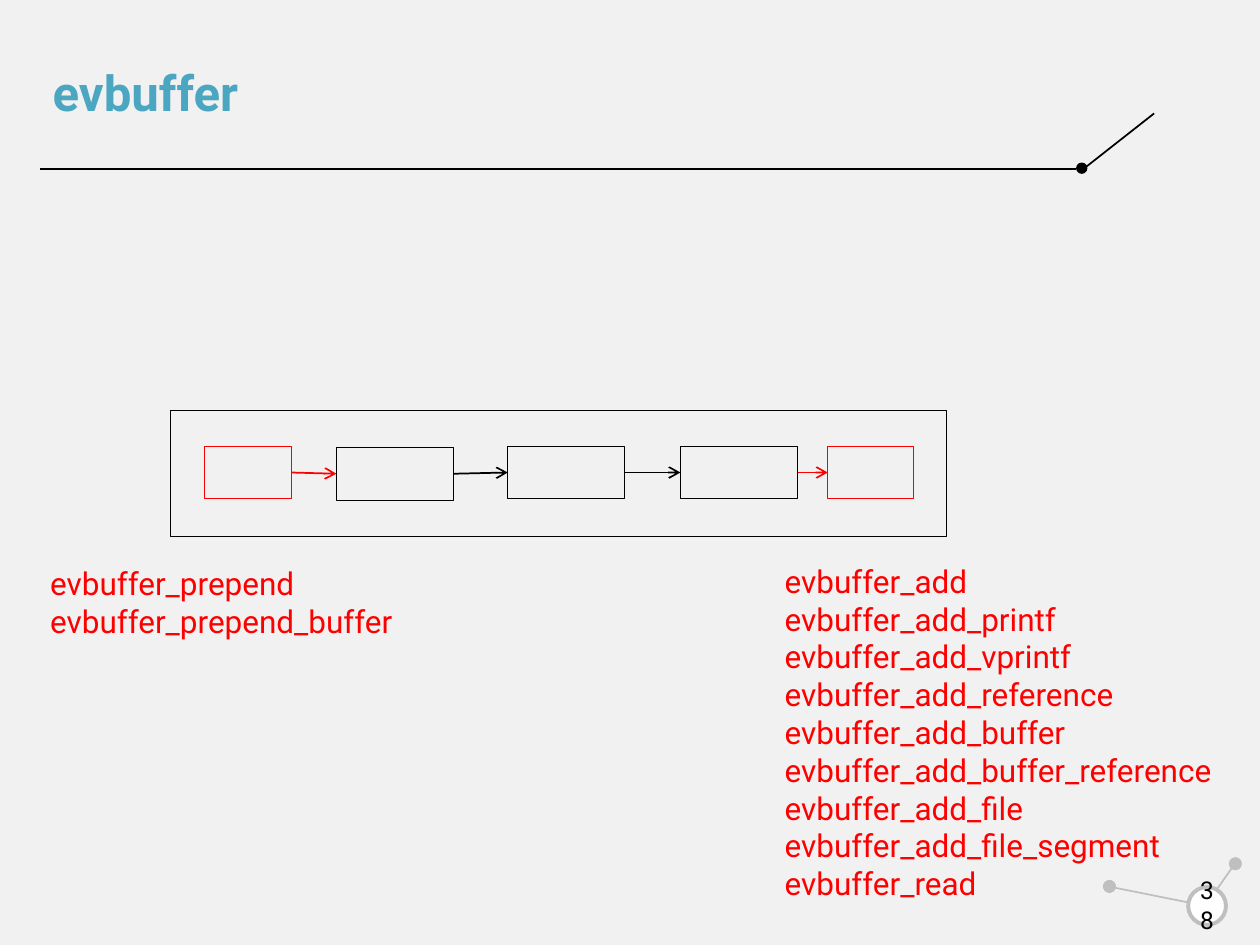
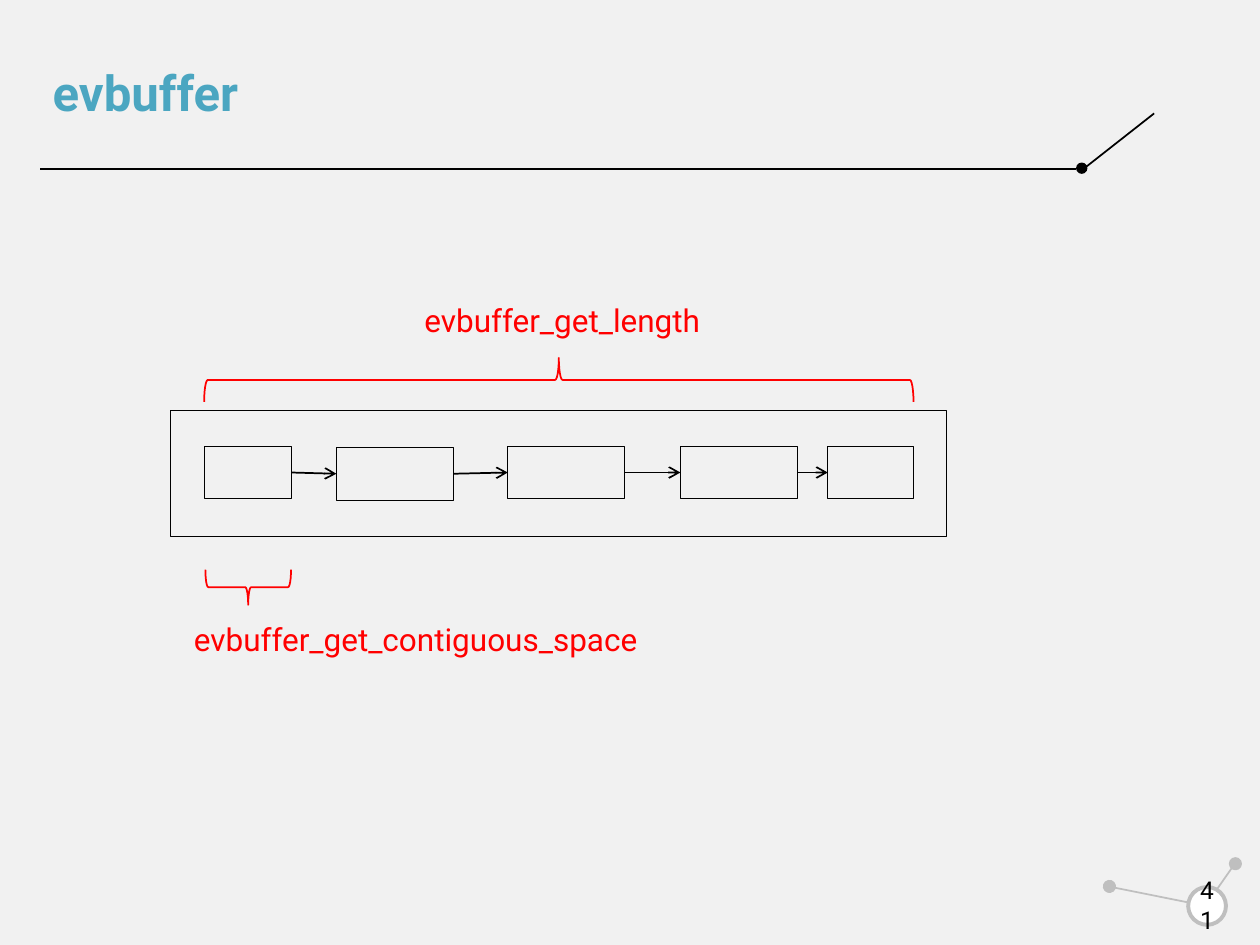
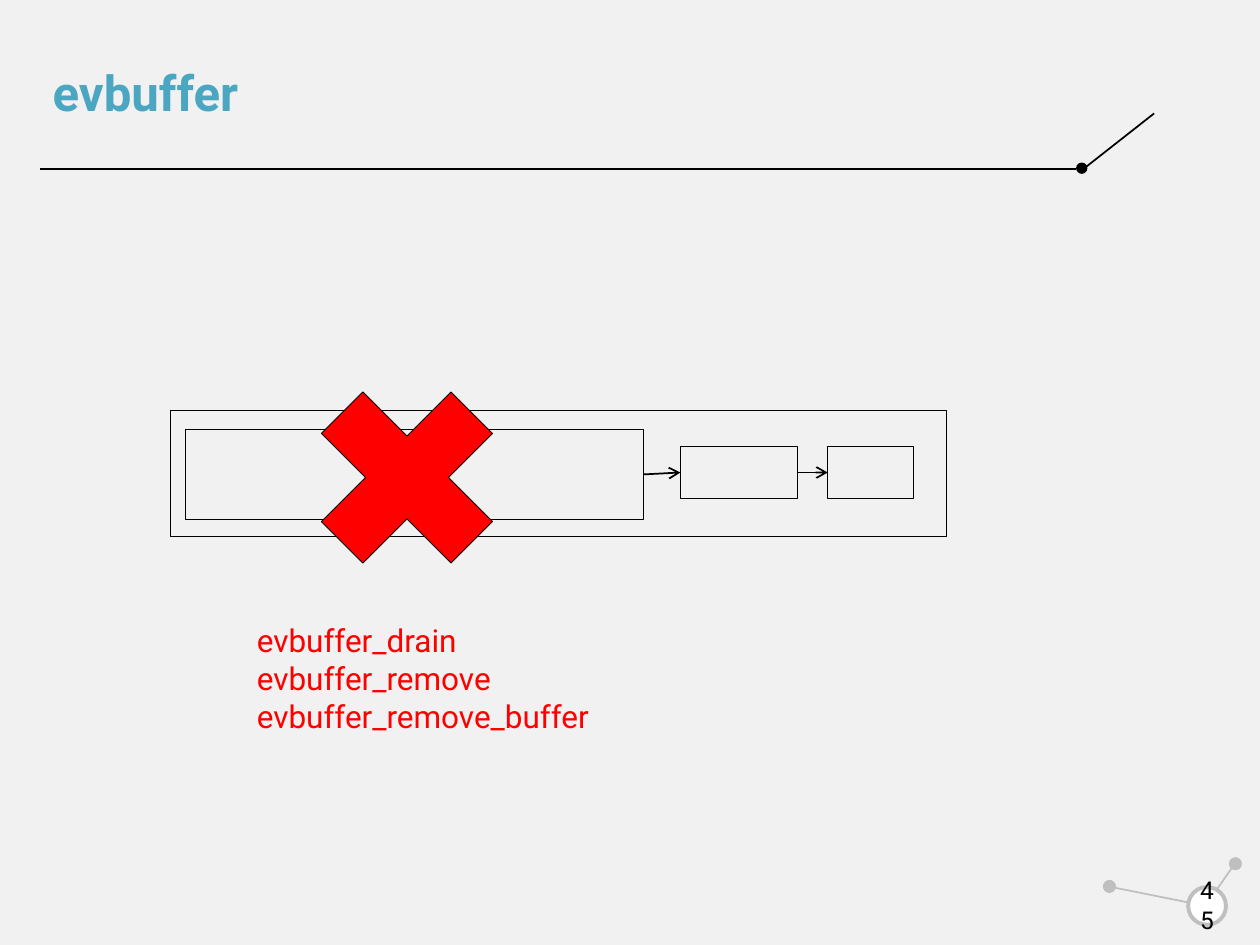
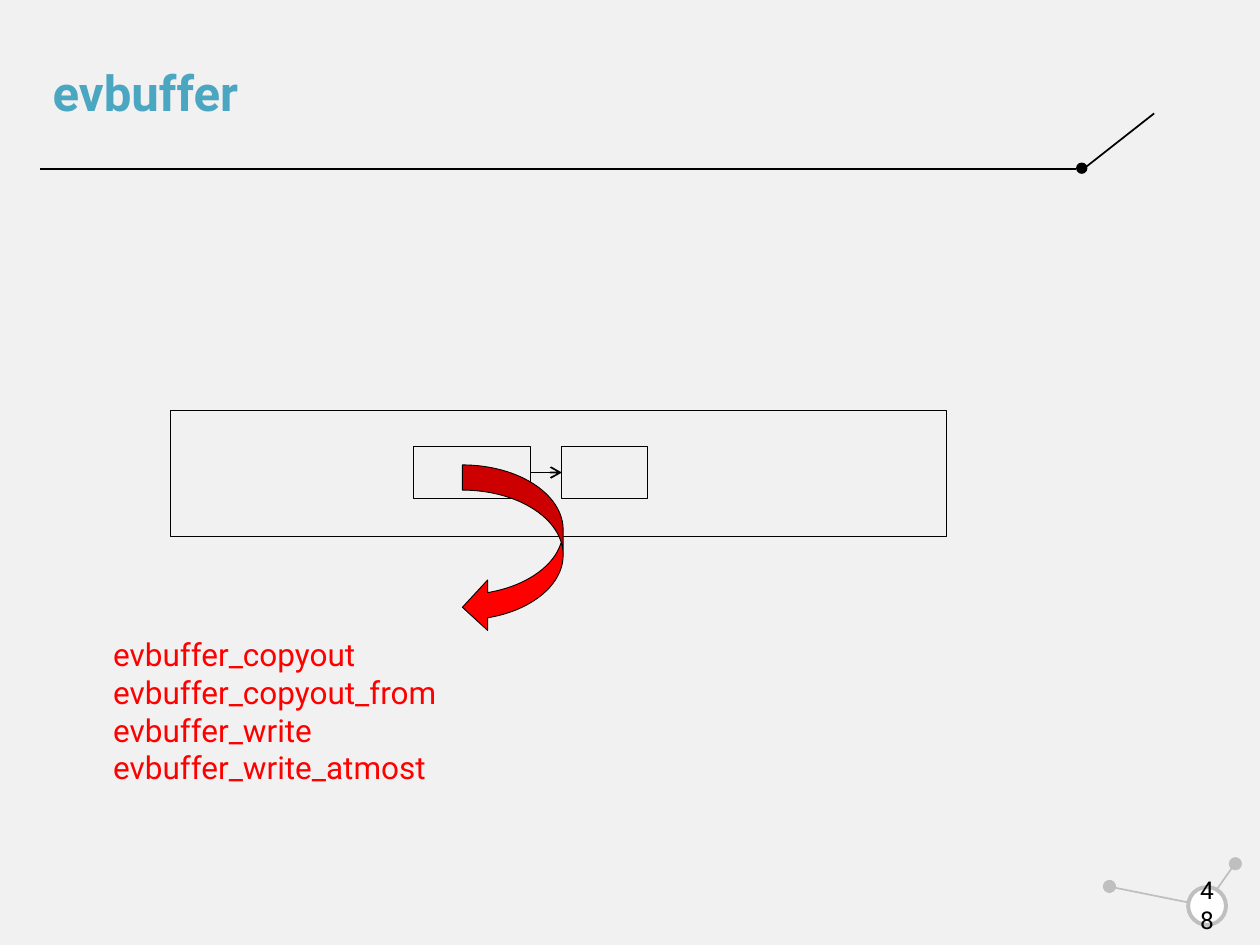
"""Build four slides about evbuffer operations."""
from dataclasses import dataclass, replace
from typing import Optional

from lxml.etree import SubElement
from pptx import Presentation
from pptx.dml.color import RGBColor
from pptx.enum.shapes import MSO_CONNECTOR, MSO_SHAPE
from pptx.enum.text import MSO_ANCHOR, MSO_AUTO_SIZE, PP_ALIGN
from pptx.oxml.ns import qn
from pptx.shapes.autoshape import Shape
from pptx.slide import Slide
from pptx.util import Inches, Pt

FONT = "Roboto"
BLACK = RGBColor(0x00, 0x00, 0x00)
WHITE = RGBColor(0xFF, 0xFF, 0xFF)
RED = RGBColor(0xFF, 0x00, 0x00)
TEAL = RGBColor(0x4B, 0xA6, 0xC1)
GRAY = RGBColor(0xBF, 0xBF, 0xBF)
PAPER = RGBColor(0xF1, 0xF1, 0xF1)


@dataclass(frozen=True)
class Box:
    left: float
    top: float
    width: float
    height: float


@dataclass(frozen=True)
class Cell:
    left: float
    width: float
    top: float = 3.54
    height: float = 0.42
    color: RGBColor = BLACK

    @property
    def right(self) -> float:
        return self.left + self.width

    @property
    def middle(self) -> float:
        return self.top + self.height / 2


HEAD = Cell(1.62, 0.69)
SECOND = Cell(2.67, 0.93, 3.55)
THIRD = Cell(4.03, 0.93, 3.54)
FOURTH = Cell(5.4, 0.93)
TAIL = Cell(6.57, 0.68)
MERGED = Cell(1.47, 3.64, 3.41, 0.71)


def draw(slide: Slide, kind: MSO_SHAPE, box: Box, fill: Optional[RGBColor] = None,
         color: Optional[RGBColor] = BLACK, weight: float = 0.5, turn: float = 0) -> Shape:
    shape = slide.shapes.add_shape(kind, Inches(box.left), Inches(box.top),
                                   Inches(box.width), Inches(box.height))
    shape.shadow.inherit = False
    shape.rotation = turn
    if fill is None:
        shape.fill.background()
    else:
        shape.fill.solid()
        shape.fill.fore_color.rgb = fill
    if color is None:
        shape.line.fill.background()
    else:
        shape.line.color.rgb = color
        shape.line.width = Pt(weight)
    return shape


def link(slide: Slide, start: tuple[float, float], end: tuple[float, float],
         color: RGBColor = BLACK, arrow: bool = False) -> None:
    line = slide.shapes.add_connector(MSO_CONNECTOR.STRAIGHT, *map(Inches, start + end))
    line.line.color.rgb = color
    line.line.width = Pt(1)
    props = line._element.spPr
    if arrow:
        SubElement(props.find(qn("a:ln")), qn("a:tailEnd"), type="arrow")
    SubElement(props, qn("a:effectLst"))


def write(slide: Slide, text: str, box: Box, size: float = 18, color: RGBColor = RED,
          bold: bool = False, wrap: bool = False) -> Shape:
    shape = slide.shapes.add_textbox(Inches(box.left), Inches(box.top),
                                     Inches(box.width), Inches(box.height))
    frame = shape.text_frame
    frame.text = text
    frame.word_wrap = wrap
    frame.auto_size = MSO_AUTO_SIZE.NONE if wrap else MSO_AUTO_SIZE.SHAPE_TO_FIT_TEXT
    for para in frame.paragraphs:
        for run in para.runs:
            run.font.name = FONT
            run.font.size = Pt(size)
            run.font.bold = bold
            run.font.color.rgb = color
    return shape


def start(deck: Presentation, page: int) -> Slide:
    slide = deck.slides.add_slide(deck.slide_layouts[6])
    draw(slide, MSO_SHAPE.RECTANGLE, Box(0, 0, 10, 7.5), PAPER, None)
    link(slide, (0.32, 1.34), (8.54, 1.34))
    draw(slide, MSO_SHAPE.OVAL, Box(8.54, 1.29, 0.09, 0.09), BLACK, None)
    link(slide, (8.6, 1.34), (9.16, 0.9))
    for left, top, turn in ((9.76, 6.81, 59.1), (8.76, 6.99, 49.1)):
        draw(slide, MSO_SHAPE.OVAL, Box(left, top, 0.09, 0.09), GRAY, GRAY, 1, turn)
    link(slide, (9.79, 6.87), (9.65, 7.07), GRAY)
    link(slide, (8.82, 7.04), (9.52, 7.18), GRAY)
    draw(slide, MSO_SHAPE.OVAL, Box(9.43, 7.04, 0.3, 0.3), WHITE, GRAY, 2.25, 59.1)
    title = write(slide, "evbuffer", Box(0.32, 0.28, 8.22, 0.95), 28.1, TEAL, True, True)
    title.text_frame.vertical_anchor = MSO_ANCHOR.MIDDLE
    title.text_frame.paragraphs[0].line_spacing = 0.9
    number = write(slide, str(page), Box(9.38, 6.98, 0.4, 0.4), 14, BLACK, wrap=True)
    number.text_frame.vertical_anchor = MSO_ANCHOR.MIDDLE
    number.text_frame.paragraphs[0].alignment = PP_ALIGN.CENTER
    return slide


def chain(slide: Slide, *cells: Cell) -> None:
    draw(slide, MSO_SHAPE.RECTANGLE, Box(1.35, 3.26, 6.16, 1))
    for cell in cells:
        draw(slide, MSO_SHAPE.RECTANGLE,
             Box(cell.left, cell.top, cell.width, cell.height), color=cell.color)
    for prior, after in zip(cells, cells[1:]):
        color = RED if RED in (prior.color, after.color) else BLACK
        link(slide, (prior.right, prior.middle), (after.left, after.middle), color, True)


def add_ends(deck: Presentation) -> None:
    slide = start(deck, 38)
    chain(slide, replace(HEAD, color=RED), SECOND, THIRD, FOURTH, replace(TAIL, color=RED))
    names = ("add", "add_printf", "add_vprintf", "add_reference", "add_buffer",
             "add_buffer_reference", "add_file", "add_file_segment", "read")
    write(slide, "\n".join(f"evbuffer_{name}" for name in names), Box(6.13, 4.41, 3.66, 2.83))
    write(slide, "evbuffer_prepend\nevbuffer_prepend_buffer", Box(0.3, 4.43, 2.96, 0.71))


def add_sizes(deck: Presentation) -> None:
    slide = start(deck, 41)
    chain(slide, HEAD, SECOND, THIRD, FOURTH, TAIL)
    draw(slide, MSO_SHAPE.LEFT_BRACE, Box(4.26, 0.2, 0.35, 5.63), color=RED, weight=1, turn=90)
    write(slide, "evbuffer_get_length", Box(3.27, 2.34, 2.43, 0.4))
    draw(slide, MSO_SHAPE.LEFT_BRACE, Box(1.83, 4.32, 0.28, 0.68), color=RED, weight=1, turn=270)
    write(slide, "evbuffer_get_contiguous_space", Box(1.44, 4.87, 3.78, 0.4))


def add_drain(deck: Presentation) -> None:
    slide = start(deck, 45)
    chain(slide, MERGED, FOURTH, TAIL)
    draw(slide, MSO_SHAPE.MATH_MULTIPLY, Box(2.24, 2.8, 1.98, 1.98), RED)
    write(slide, "evbuffer_drain\nevbuffer_remove\nevbuffer_remove_buffer",
          Box(1.94, 4.88, 2.87, 1.01))


def add_copy(deck: Presentation) -> None:
    slide = start(deck, 48)
    chain(slide, replace(FOURTH, left=3.28), replace(TAIL, left=4.46))
    draw(slide, MSO_SHAPE.CURVED_LEFT_ARROW, Box(3.67, 3.69, 0.8, 1.33), RED)
    names = ("copyout", "copyout_from", "write", "write_atmost")
    write(slide, "\n".join(f"evbuffer_{name}" for name in names), Box(0.8, 4.99, 2.78, 1.31))


def main() -> None:
    deck = Presentation()
    deck.slide_width = Inches(10)
    deck.slide_height = Inches(7.5)
    for build in (add_ends, add_sizes, add_drain, add_copy):
        build(deck)
    deck.save("out.pptx")


main()
